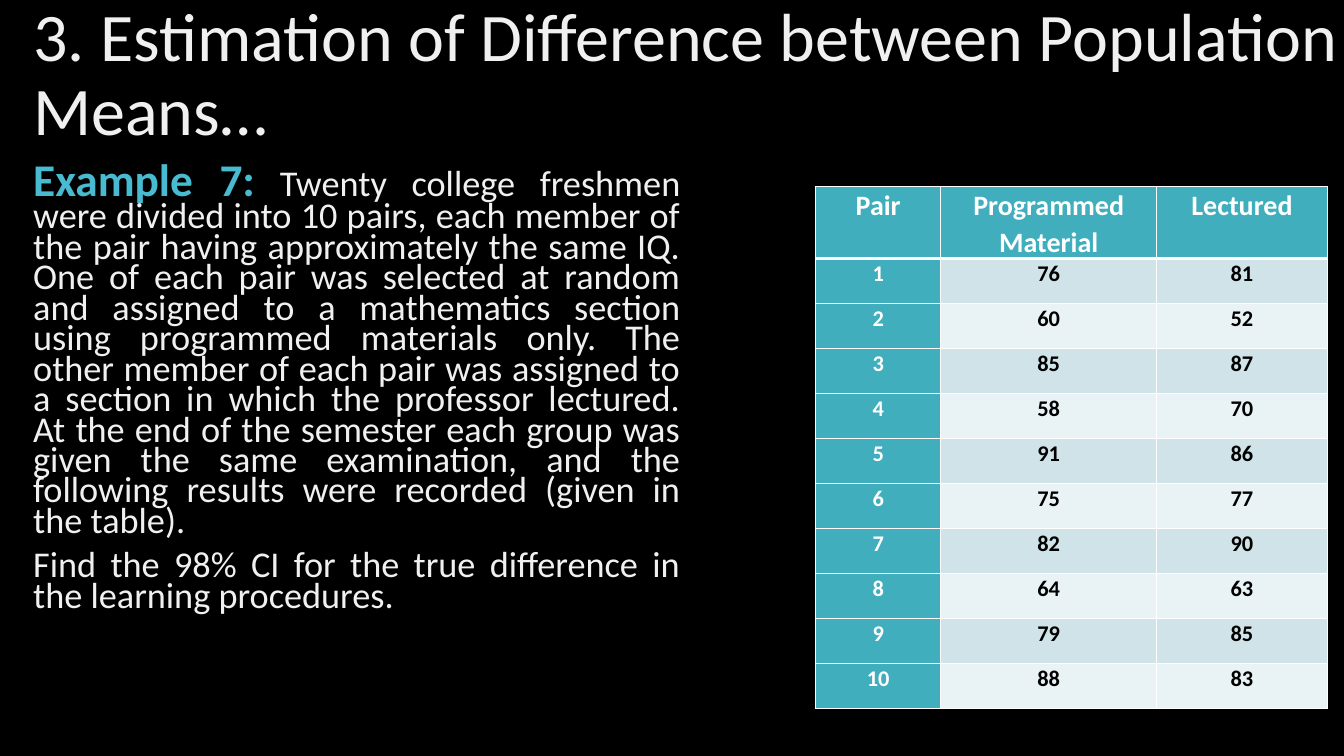
from lxml import etree
from pptx import Presentation, util as u
from pptx.dml.color import RGBColor
from pptx.enum import text
from pptx.oxml import ns

BLACK = RGBColor(0x00, 0x00, 0x00)
WHITE = RGBColor(0xFF, 0xFF, 0xFF)
SILVER = RGBColor(0xF0, 0xF0, 0xF0)
SKY = RGBColor(0x49, 0xBB, 0xD1)
TEAL = RGBColor(0x41, 0xAE, 0xBD)
BANDS = (RGBColor(0xCF, 0xE3, 0xE8), RGBColor(0xE9, 0xF2, 0xF4))

TITLE = "3. Estimation of Difference between Population Means…"
EXAMPLE = (
    "Twenty college freshmen were divided into 10 pairs, each member of the pair "
    "having approximately the same IQ. One of each pair was selected at random and "
    "assigned to a mathematics section using programmed materials only. The other "
    "member of each pair was assigned to a section in which the professor lectured. "
    "At the end of the semester each group was given the same examination, and the "
    "following results were recorded (given in the table)."
)
QUESTION = "Find the 98% CI for the true difference in the learning procedures."
HEADINGS = ("Pair", "Programmed Material", "Lectured")
SCORES = ((76, 81), (60, 52), (85, 87), (58, 70), (91, 86),
          (75, 77), (82, 90), (64, 63), (79, 85), (88, 83))


class LessonSlide:
    font_name = "Calibri"

    def __init__(self, deck):
        self.slide = deck.slides.add_slide(deck.slide_layouts[6])
        self.slide.background.fill.solid()
        self.slide.background.fill.fore_color.rgb = BLACK

    def style(self, run, size, color, bold=False):
        run.font.name = self.font_name
        run.font.size = u.Pt(size)
        run.font.bold = bold
        run.font.color.rgb = color

    def text_box(self, left, top, width, height, paragraphs, spacing,
                 align=text.PP_ALIGN.LEFT, space_before=0):
        """Each paragraph is a list of (wording, size, color, bold) runs."""
        box = self.slide.shapes.add_textbox(*map(u.Pt, (left, top, width, height)))
        frame = box.text_frame
        frame.word_wrap = True
        for index, pieces in enumerate(paragraphs):
            paragraph = frame.add_paragraph() if index else frame.paragraphs[0]
            paragraph.alignment = align
            paragraph.line_spacing = spacing
            paragraph.space_before = u.Pt(space_before if index else 0)
            for wording, *look in pieces:
                run = paragraph.add_run()
                run.text = wording
                self.style(run, *look)
        return frame

    def border(self, cell, **widths):
        """Draw white cell edges; widths maps L, R, T, B to points."""
        properties = cell._tc.get_or_add_tcPr()
        for place, side in enumerate("LRTB"):
            line = etree.Element(ns.qn(f"a:ln{side}"), w=str(u.Pt(widths.get(side, 1))))
            fill = etree.SubElement(line, ns.qn("a:solidFill"))
            etree.SubElement(fill, ns.qn("a:srgbClr"), val=str(WHITE))
            properties.insert(place, line)

    def cell(self, cell, wording, size, color, fill):
        cell.margin_left = cell.margin_right = u.Pt(5)
        cell.margin_top = cell.margin_bottom = 0
        cell.fill.solid()
        cell.fill.fore_color.rgb = fill
        paragraph = cell.text_frame.paragraphs[0]
        paragraph.text = str(wording)
        paragraph.alignment = text.PP_ALIGN.CENTER
        paragraph.line_spacing = 1.07
        self.style(paragraph.runs[0], size, color, bold=True)

    def score_table(self, left, top, widths, header_height, row_height):
        rows = [HEADINGS] + [(pair, *marks) for pair, marks in enumerate(SCORES, 1)]
        height = header_height + row_height * len(SCORES)
        table = self.slide.shapes.add_table(
            len(rows), len(widths), u.Pt(left), u.Pt(top),
            u.Pt(sum(widths)), u.Pt(height)).table
        for column, width in zip(table.columns, widths):
            column.width = u.Pt(width)
        for r, values in enumerate(rows):
            table.rows[r].height = u.Pt(row_height if r else header_height)
            for c, value in enumerate(values):
                heading = r == 0 or c == 0
                cell = table.cell(r, c)
                self.cell(cell, value, 16 if r else 20,
                          WHITE if heading else BLACK,
                          TEAL if heading else BANDS[(r - 1) % 2])
                self.border(cell, T=3 if r == 1 else 1, B=1 if r else 3)


def main():
    deck = Presentation()
    deck.slide_width, deck.slide_height = u.Pt(960), u.Pt(540)
    lesson = LessonSlide(deck)

    title = lesson.text_box(16.6, 28.8, 961.2, 104.4,
                            [[(TITLE, 48.6, SILVER)]], spacing=0.9)
    title.vertical_anchor = text.MSO_ANCHOR.MIDDLE
    title.margin_bottom = u.Pt(56)

    lesson.text_box(
        16.6, 115.2, 476.6, 371.5,
        [[("Example 7:", 32.4, SKY, True), (" ", 25.9, SKY), (EXAMPLE, 25.9, SILVER)],
         [(QUESTION, 25.9, SILVER)]],
        spacing=0.7, align=text.PP_ALIGN.JUSTIFY, space_before=10)

    lesson.score_table(582.5, 133.2, (89.6, 154.1, 122), 50, 32.15)
    deck.save("out.pptx")


if __name__ == "__main__":
    main()
